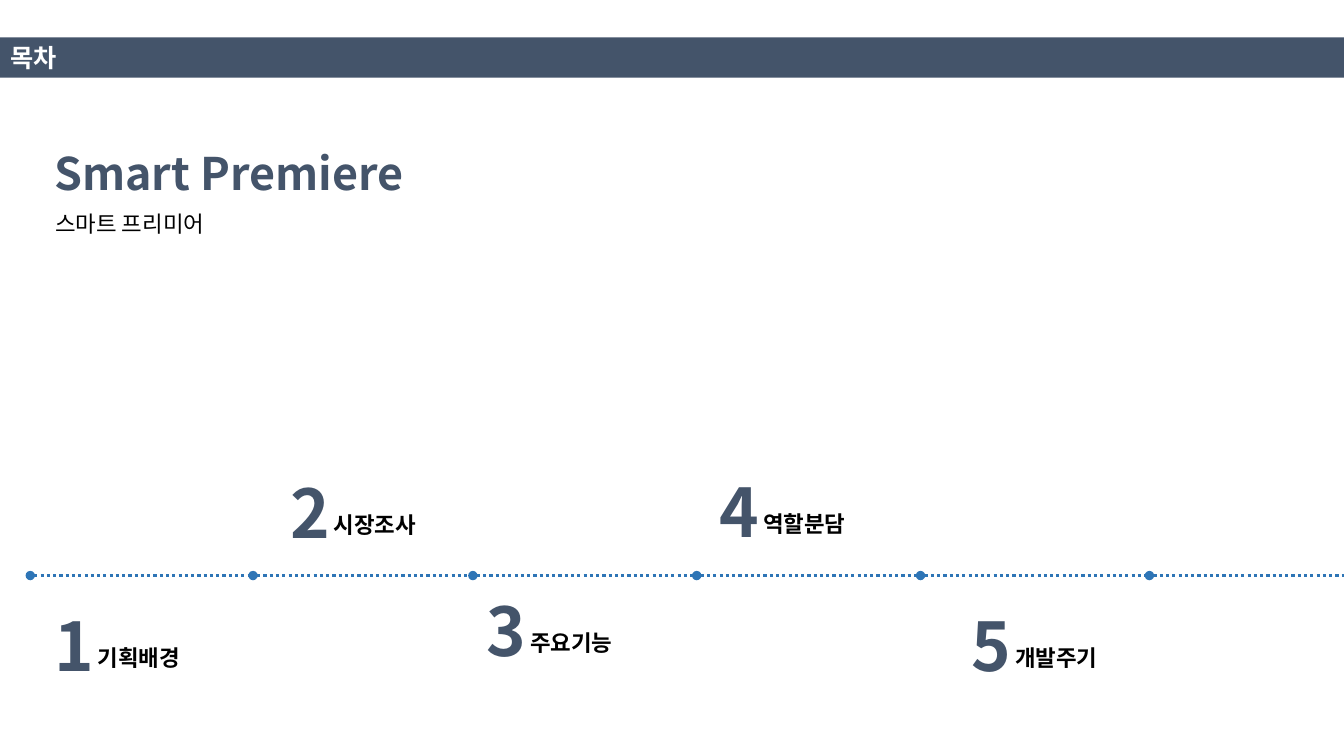
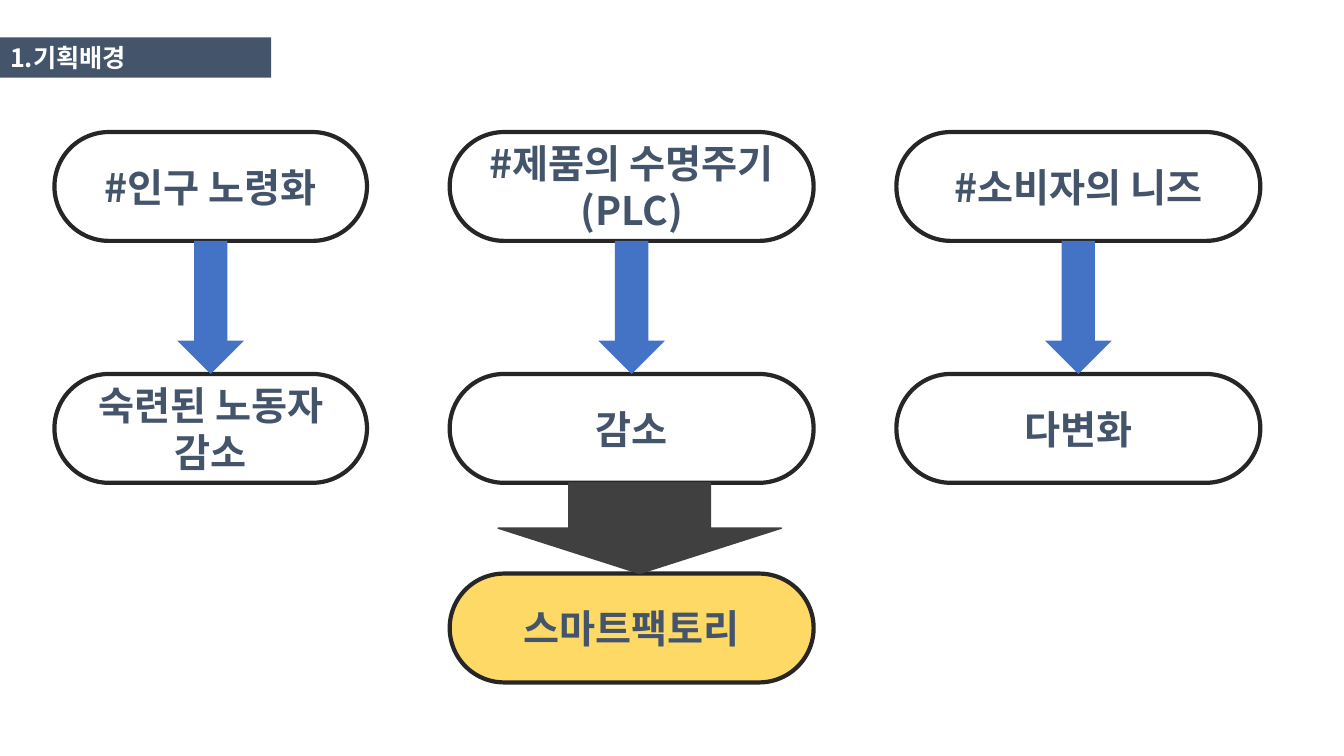
from itertools import pairwise

from lxml.etree import SubElement
from pptx import Presentation
from pptx.dml.color import RGBColor
from pptx.enum.dml import MSO_LINE
from pptx.enum.shapes import MSO_CONNECTOR, MSO_SHAPE
from pptx.enum.text import MSO_ANCHOR, MSO_AUTO_SIZE, PP_ALIGN
from pptx.oxml.ns import qn
from pptx.util import Inches, Pt

FONT = "Noto Sans CJK KR"
COLORS = {
    "slate": "44546A",
    "white": "FFFFFF",
    "black": "000000",
    "timeline": "2E75B6",
    "outline": "262626",
    "highlight": "FFD966",
    "arrow": "4472C4",
    "result_arrow": "404040",
}
SLIDE_WIDTH = 13.33
PILL_HEIGHT = 1.08
CAUSE_TOP, EFFECT_TOP, RESULT_TOP = 1.31, 3.71, 5.69


def color(name):
    return RGBColor.from_string(COLORS[name])


def write_text(shape, text, size=16, ink="black", bold=True,
               align=PP_ALIGN.LEFT, anchor=MSO_ANCHOR.TOP):
    frame = shape.text_frame
    frame.word_wrap = True
    frame.auto_size = MSO_AUTO_SIZE.NONE
    frame.vertical_anchor = anchor
    frame.text = text
    for para in frame.paragraphs:
        para.alignment = align
        for span in para.runs:
            font = span.font
            font.name, font.size, font.bold = FONT, Pt(size), bold
            font.color.rgb = color(ink)
            SubElement(font._element, qn("a:ea"), typeface=FONT)


def add_titled_slide(deck, title, band_width):
    page = deck.slides.add_slide(deck.slide_layouts[5])
    band = page.shapes.title
    band.left, band.top = Inches(0), Inches(0.37)
    band.width, band.height = Inches(band_width), Inches(0.4)
    band.fill.solid()
    band.fill.fore_color.rgb = color("slate")
    write_text(band, title, size=18, ink="white")
    return page


def add_text(page, text, left, top, width, height, **style):
    box = page.shapes.add_textbox(Inches(left), Inches(top), Inches(width), Inches(height))
    write_text(box, text, **style)


def add_shape(page, kind, left, top, width, height, fill, line=None, line_width=1):
    shape = page.shapes.add_shape(
        kind, Inches(left), Inches(top), Inches(width), Inches(height))
    shape.shadow.inherit = False
    shape.fill.solid()
    shape.fill.fore_color.rgb = color(fill)
    if line:
        shape.line.color.rgb = color(line)
        shape.line.width = Pt(line_width)
    else:
        shape.line.fill.background()
    return shape


def add_pill(page, text, left, top, width, fill="white"):
    pill = add_shape(page, MSO_SHAPE.ROUNDED_RECTANGLE, left, top, width, PILL_HEIGHT,
                     fill, line="outline", line_width=3)
    pill.adjustments[0] = 0.5
    write_text(pill, text, size=28, ink="slate",
               align=PP_ALIGN.CENTER, anchor=MSO_ANCHOR.MIDDLE)


def add_timeline(page, stops, y):
    for start, end in pairwise(stops):
        segment = page.shapes.add_connector(
            MSO_CONNECTOR.STRAIGHT, Inches(start), Inches(y), Inches(end), Inches(y))
        segment.line.color.rgb = color("timeline")
        segment.line.width = Pt(2.25)
        segment.line.dash_style = MSO_LINE.ROUND_DOT
        SubElement(segment.line._get_or_add_ln(), qn("a:headEnd"), type="oval")
        SubElement(segment._element.spPr, qn("a:effectLst"))


def add_step(page, number, label, left, top):
    add_text(page, str(number), left, top, 0.68, 0.91, size=48, ink="slate")
    add_text(page, label, left + 0.43, top + 0.39, 1.75, 0.37)


def build_contents(deck):
    page = add_titled_slide(deck, "목차", SLIDE_WIDTH)
    add_text(page, "Smart Premiere", 0.44, 1.4, 4.68, 0.64, size=32, ink="slate")
    add_text(page, "스마트 프리미어", 0.45, 2.04, 2.42, 0.37, bold=False)
    add_timeline(page, [0.3, 2.51, 4.69, 6.91, 9.13, 11.4, SLIDE_WIDTH], 5.71)
    steps = [
        ("기획배경", 0.44, 5.95),
        ("시장조사", 2.78, 4.63),
        ("주요기능", 4.73, 5.8),
        ("역할분담", 7.04, 4.62),
        ("개발주기", 9.54, 5.95),
    ]
    for number, step in enumerate(steps, 1):
        add_step(page, number, *step)


def build_background(deck):
    page = add_titled_slide(deck, "1.기획배경", 2.69)
    columns = [
        ("#인구 노령화", "숙련된 노동자 감소", 0.54, 3.1),
        ("#제품의 수명주기\n(PLC)", "감소", 4.46, 3.61),
        ("#소비자의 니즈", "다변화", 8.89, 3.61),
    ]
    arrow_width, arrow_top = 0.66, CAUSE_TOP + PILL_HEIGHT
    for cause, effect, left, width in columns:
        add_pill(page, cause, left, CAUSE_TOP, width)
        add_pill(page, effect, left, EFFECT_TOP, width)
        add_shape(page, MSO_SHAPE.DOWN_ARROW, left + (width - arrow_width) / 2, arrow_top,
                  arrow_width, EFFECT_TOP - arrow_top, "arrow")
    add_pill(page, "스마트팩토리", 4.46, RESULT_TOP, 3.61, fill="highlight")
    add_shape(page, MSO_SHAPE.DOWN_ARROW, 4.94, EFFECT_TOP + PILL_HEIGHT, 2.81, 0.9,
              "result_arrow", line="result_arrow")


def main():
    deck = Presentation()
    deck.slide_width, deck.slide_height = Inches(SLIDE_WIDTH), Inches(7.5)
    build_contents(deck)
    build_background(deck)
    deck.save("out.pptx")


if __name__ == "__main__":
    main()
